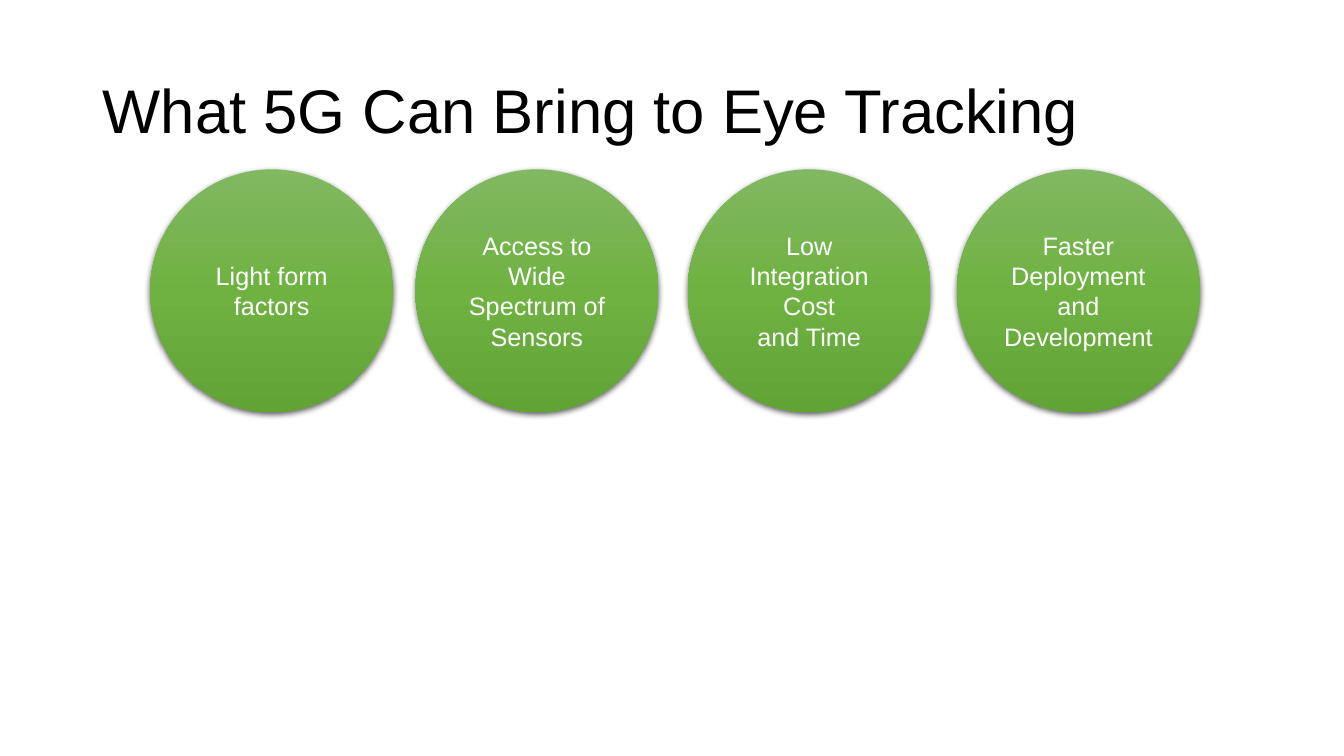
import copy

import pptx
import pptx.dml.color
import pptx.enum.shapes
import pptx.enum.text
import pptx.oxml
import pptx.oxml.ns
import pptx.util
from pptx.dml.color import RGBColor
from pptx.util import Inches

TITLE = "What 5G Can Bring to Eye Tracking"
BENEFITS = [
    (1.49, ["Light form factors"]),
    (4.12, ["Access to Wide Spectrum of Sensors"]),
    (6.82, ["Low", "Integration", "Cost", "and Time"]),
    (9.49, ["Faster", "Deployment and", "Development"]),
]
CIRCLE_TOP = 1.68
CIRCLE_SIZE = 2.41
FONT = "Arial"
BLACK = RGBColor(0x00, 0x00, 0x00)
WHITE = RGBColor(0xFF, 0xFF, 0xFF)
GREENS = [
    RGBColor(0x81, 0xB8, 0x61),
    RGBColor(0x6F, 0xB2, 0x42),
    RGBColor(0x62, 0xA3, 0x36),
]
SHADOW = (
    f'<a:outerShdw {pptx.oxml.ns.nsdecls("a")} blurRad="57150" dist="19050" '
    'dir="5400000" algn="ctr" rotWithShape="0"><a:srgbClr val="000000">'
    '<a:alpha val="63000"/></a:srgbClr></a:outerShdw>'
)


def format_paragraph(paragraph, size, color, alignment):
    paragraph.alignment = alignment
    paragraph.font.name = FONT
    paragraph.font.size = pptx.util.Pt(size)
    paragraph.font.color.rgb = color


def fill_with_gradient(shape):
    shape.fill.gradient()
    shape.fill.gradient_angle = 270
    stop_list = shape._element.spPr.find(".//" + pptx.oxml.ns.qn("a:gsLst"))
    stop_list.insert(1, copy.deepcopy(stop_list[0]))
    for index, (stop, color) in enumerate(zip(shape.fill.gradient_stops, GREENS)):
        stop.position = index / 2
        stop.color.rgb = color


def add_circle(slide, left, lines):
    circle = slide.shapes.add_shape(
        pptx.enum.shapes.MSO_SHAPE.OVAL,
        Inches(left), Inches(CIRCLE_TOP), Inches(CIRCLE_SIZE), Inches(CIRCLE_SIZE),
    )
    fill_with_gradient(circle)
    circle.line.fill.background()
    circle.shadow.inherit = False
    effects = circle._element.spPr.find(pptx.oxml.ns.qn("a:effectLst"))
    effects.append(pptx.oxml.parse_xml(SHADOW))
    frame = circle.text_frame
    frame.word_wrap = True
    frame.vertical_anchor = pptx.enum.text.MSO_ANCHOR.MIDDLE
    frame.text = "\n".join(lines)
    for paragraph in frame.paragraphs:
        format_paragraph(paragraph, 18, WHITE, pptx.enum.text.PP_ALIGN.CENTER)


def main():
    presentation = pptx.Presentation()
    presentation.slide_width = Inches(13.33)
    presentation.slide_height = Inches(7.5)
    slide = presentation.slides.add_slide(presentation.slide_layouts[5])

    title = slide.shapes.title
    title.left, title.top = Inches(0.92), Inches(0.4)
    title.width, title.height = Inches(11.5), Inches(1.45)
    title.text_frame.text = TITLE
    title.text_frame.vertical_anchor = pptx.enum.text.MSO_ANCHOR.MIDDLE
    heading = title.text_frame.paragraphs[0]
    heading.line_spacing = 0.9
    format_paragraph(heading, 44, BLACK, pptx.enum.text.PP_ALIGN.LEFT)

    for left, lines in BENEFITS:
        add_circle(slide, left, lines)

    presentation.save("out.pptx")


if __name__ == "__main__":
    main()
